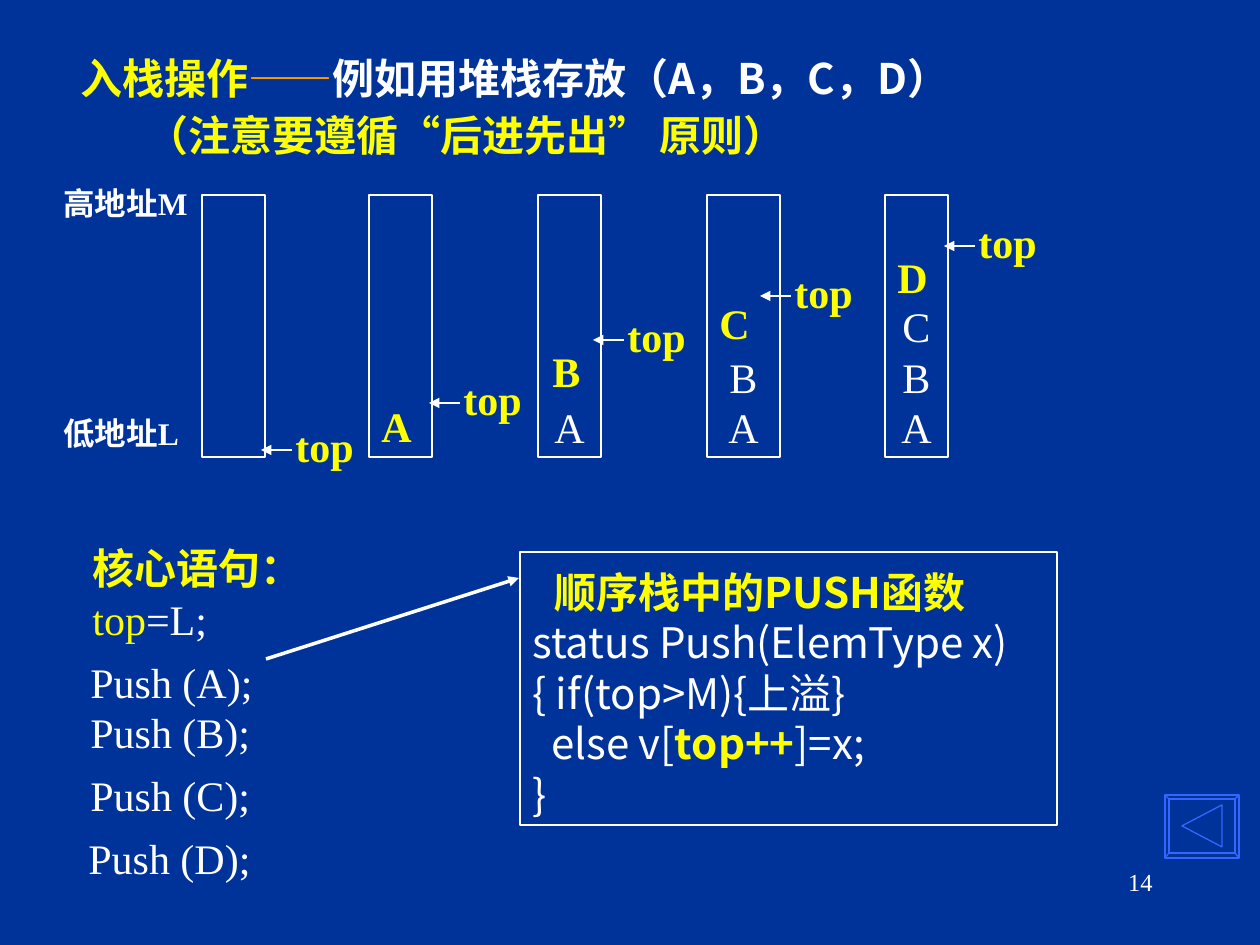
"""Build the slide that shows pushing A, B, C and D onto a stack."""
from dataclasses import dataclass

import pptx
import pptx.dml.color
import pptx.enum.shapes
import pptx.enum.text
import pptx.oxml
import pptx.oxml.ns
import pptx.util

RGB = pptx.dml.color.RGBColor
ALIGN = pptx.enum.text.PP_ALIGN
ANCHOR = pptx.enum.text.MSO_ANCHOR
NAVY = RGB(0x00, 0x33, 0x99)
WHITE = RGB(0xFF, 0xFF, 0xFF)
YELLOW = RGB(0xFF, 0xFF, 0x00)
ORANGE = RGB(0xFF, 0x99, 0x00)
BLUE = RGB(0x33, 0x66, 0xFF)
SERIF = "Times New Roman"
SANS = "Noto Sans CJK SC"
SCALE = 914400 / 126


@dataclass
class Run:
    text: str
    color: RGB = WHITE
    bold: bool = False
    font: str = SERIF


@dataclass
class Line:
    runs: list[Run]
    indent: int = 0
    pitch: float = 0


@dataclass
class Stack:
    left: int
    width: int
    olds: str
    arrow: tuple[int, int]
    fresh: str = ""
    spot: tuple[int, int] = (0, 0)


STACKS = [
    Stack(202, 63, "", (261, 450)),
    Stack(369, 63, "", (429, 403), "A", (369, 395)),
    Stack(538, 63, "A", (593, 340), "B", (540, 340)),
    Stack(707, 73, "BA", (760, 296), "C", (707, 292)),
    Stack(885, 63, "CBA", (944, 246), "D", (885, 246)),
]
LABELS = [("高地址M", 178), ("低地址L", 408)]
CALLS = [("A", 78, 651), ("B", 78, 701), ("C", 78, 764), ("D", 76, 827)]
TITLE = [
    Line([
        Run("入栈操作", YELLOW, True, SANS),
        Run("——", ORANGE, True),
        Run("例如用堆栈存放（A，B，C，D）", WHITE, True, SANS),
    ], pitch=32.6),
    Line([
        Run("（注意要遵循", YELLOW, True, SANS),
        Run("“", YELLOW, True),
        Run("后进先出", YELLOW, True, SANS),
        Run("”", YELLOW, True),
        Run(" 原则）", YELLOW, True, SANS),
    ], indent=66, pitch=32.6),
]
CORE = [
    Line([Run("核心语句：", YELLOW, True)]),
    Line([Run("top", YELLOW), Run("=L;")]),
]
CODE = [
    Line([Run("顺序栈中的PUSH函数", YELLOW, True, SANS)], indent=22, pitch=33.6),
    Line([Run("status Push(ElemType x)", font=SANS)]),
    Line([Run("{ if(top>M){", font=SANS), Run("上溢"), Run("}", font=SANS)]),
    Line([
        Run("  else v[", font=SANS),
        Run("top++", YELLOW, True, SANS),
        Run("]=x;", font=SANS),
    ]),
    Line([Run("}", font=SANS)]),
]


def px(count: int) -> int:
    return round(count * SCALE)


def write(shape, lines: list[Line], *, size: int = 24, align=ALIGN.LEFT,
          anchor=ANCHOR.TOP, wrap: bool = True, pad: int = 6) -> None:
    frame = shape.text_frame
    frame.word_wrap = wrap
    frame.vertical_anchor = anchor
    frame.margin_left = frame.margin_right = pptx.util.Inches(0.1)
    frame.margin_top = frame.margin_bottom = px(pad)
    for rank, line in enumerate(lines):
        para = frame.add_paragraph() if rank else frame.paragraphs[0]
        para.alignment = align
        para.line_spacing = pptx.util.Pt(line.pitch or size * 1.2)
        props = para._p.get_or_add_pPr()
        props.set("marL", str(px(line.indent)))
        props.set("indent", "0")
        for item in line.runs:
            run = para.add_run()
            run.text = item.text
            run.font.size = pptx.util.Pt(size)
            run.font.bold = item.bold
            run.font.name = item.font
            run.font.color.rgb = item.color
            east = pptx.oxml.parse_xml(
                f'<a:ea {pptx.oxml.ns.nsdecls("a")} typeface="{SANS}"/>')
            run.font._element.find(pptx.oxml.ns.qn("a:latin")).addnext(east)


def label(slide, box: tuple[int, int, int, int], lines: list[Line], **form) -> None:
    write(slide.shapes.add_textbox(*map(px, box)), lines, **form)


def trim(shape, color: RGB) -> None:
    shape.shadow.inherit = False
    shape.fill.background()
    shape.line.color.rgb = color
    shape.line.width = pptx.util.Pt(0.75)


def frame(slide, box: tuple[int, int, int, int]):
    kind = pptx.enum.shapes.MSO_SHAPE.RECTANGLE
    shape = slide.shapes.add_shape(kind, *map(px, box))
    trim(shape, WHITE)
    return shape


def arrow(slide, start: tuple[int, int], end: tuple[int, int],
          width: float = 0.75) -> None:
    kind = pptx.enum.shapes.MSO_CONNECTOR.STRAIGHT
    line = slide.shapes.add_connector(kind, *map(px, start + end))
    line.line.color.rgb = WHITE
    line.line.width = pptx.util.Pt(width)
    names = pptx.oxml.ns.nsdecls("a")
    line.line._get_or_add_ln().append(
        pptx.oxml.parse_xml(f'<a:tailEnd {names} type="triangle"/>'))
    line._element.spPr.append(pptx.oxml.parse_xml(f"<a:effectLst {names}/>"))


def draw(slide, stack: Stack) -> None:
    shape = frame(slide, (stack.left, 195, stack.width, 262))
    if stack.olds:
        write(shape, [Line([Run(name)]) for name in stack.olds],
              align=ALIGN.CENTER, anchor=ANCHOR.BOTTOM, wrap=False, pad=5)
    left, top = stack.arrow
    arrow(slide, (left + 31, top), (left, top))
    label(slide, (left + 22, top - 35, 92, 63), [Line([Run("top", YELLOW, True)])])
    if stack.fresh:
        label(slide, (*stack.spot, 63, 63), [Line([Run(stack.fresh, YELLOW, True)])])


def button(slide) -> None:
    outer = [(1165, 795), (1239, 795), (1239, 858), (1165, 858)]
    inner = [(1169, 799), (1235, 799), (1235, 853), (1169, 853)]
    play = [(1222, 805), (1182, 826), (1222, 847)]
    pen = slide.shapes.build_freeform(*outer[0], scale=SCALE)
    pen.add_line_segments(outer[1:], close=True)
    for ring in (inner, play):
        pen.move_to(*ring[0])
        pen.add_line_segments(ring[1:], close=True)
    for start, end in zip(outer, inner):
        pen.move_to(*start)
        pen.add_line_segments([end], close=False)
    trim(pen.convert_to_shape(), BLUE)


def main() -> None:
    deck = pptx.Presentation()
    deck.slide_width, deck.slide_height = px(1260), px(945)
    slide = deck.slides.add_slide(deck.slide_layouts[6])
    slide.background.fill.solid()
    slide.background.fill.fore_color.rgb = NAVY
    label(slide, (68, 40, 1097, 126), TITLE, anchor=ANCHOR.MIDDLE)
    for stack in STACKS:
        draw(slide, stack)
    for text, top in LABELS:
        label(slide, (51, top, 170, 50), [Line([Run(text, bold=True)])], size=18)
    label(slide, (80, 537, 282, 113), CORE)
    for name, left, top in CALLS:
        label(slide, (left, top, 202, 63), [Line([Run(f"Push ({name});")])])
    write(frame(slide, (520, 552, 537, 273)), CODE, align=ALIGN.JUSTIFY)
    arrow(slide, (266, 659), (519, 578), 2)
    button(slide)
    label(slide, (903, 861, 262, 63), [Line([Run("14")])],
          size=14, align=ALIGN.RIGHT)
    deck.save("out.pptx")


if __name__ == "__main__":
    main()
